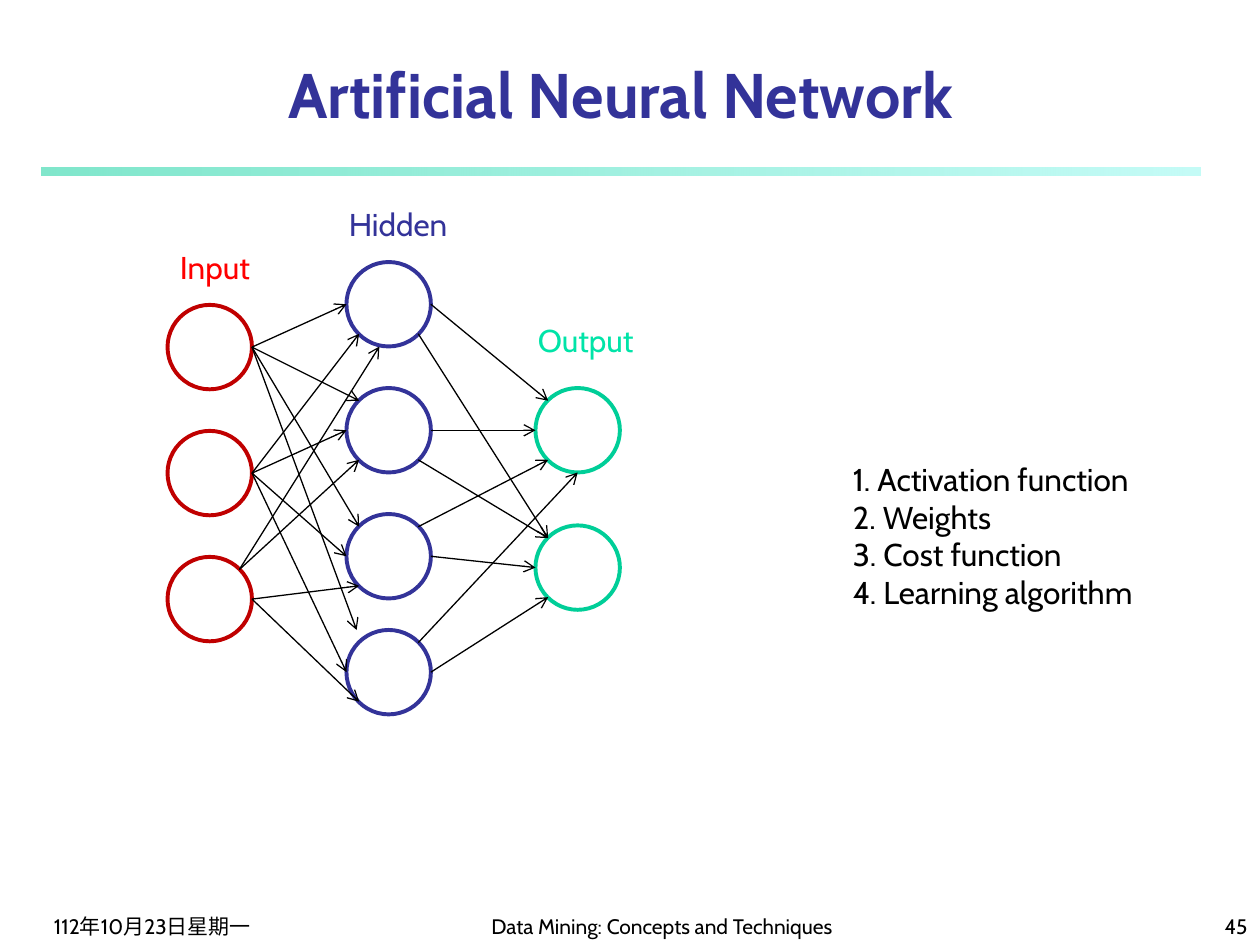
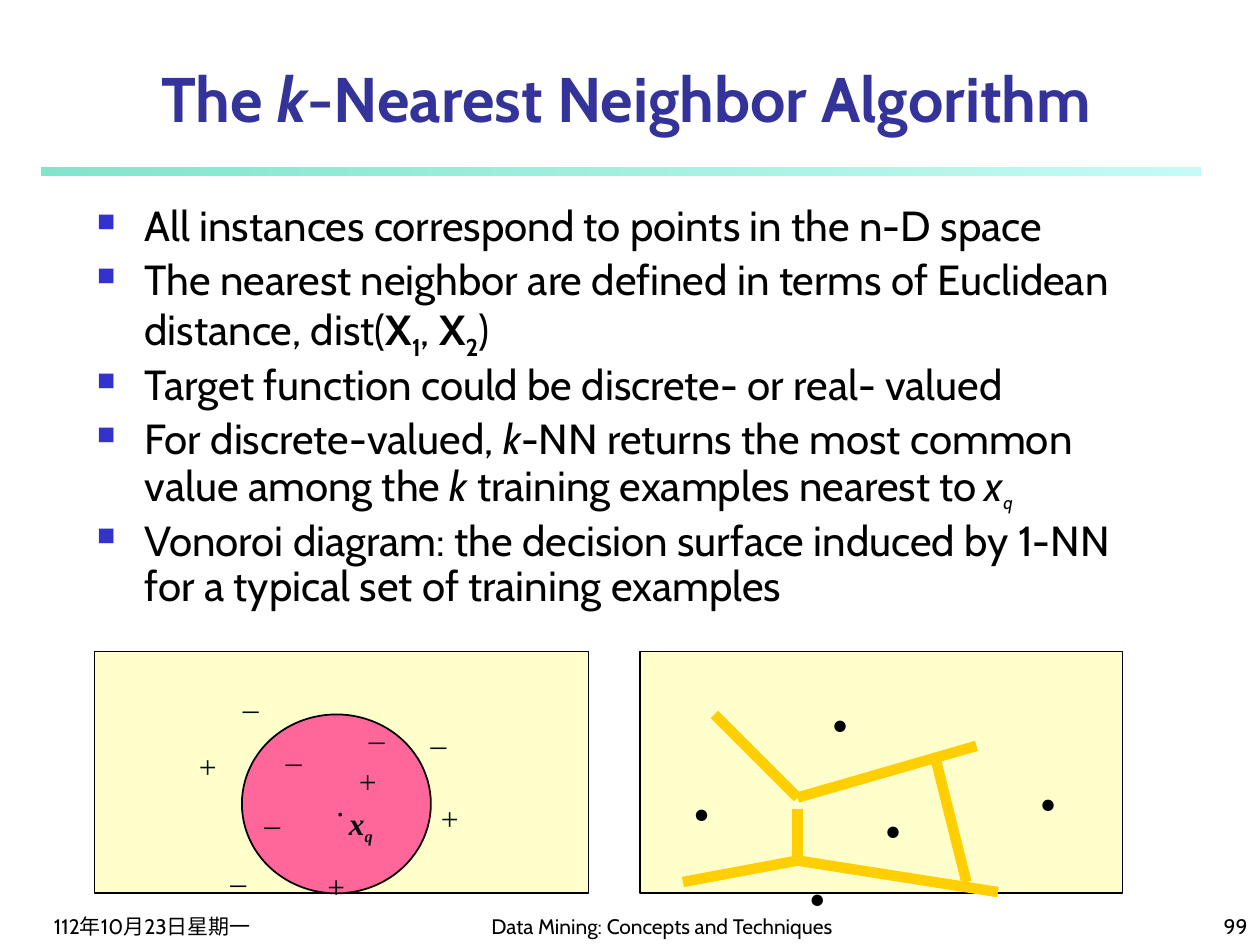
from lxml import etree
from pptx import Presentation
from pptx.dml.color import RGBColor
from pptx.enum.shapes import MSO_CONNECTOR, MSO_SHAPE
from pptx.enum.text import MSO_ANCHOR, PP_ALIGN
from pptx.oxml.ns import qn
from pptx.util import Inches, Pt

LEFT, CENTER, RIGHT = PP_ALIGN.LEFT, PP_ALIGN.CENTER, PP_ALIGN.RIGHT
TOP, MIDDLE, BOTTOM = MSO_ANCHOR.TOP, MSO_ANCHOR.MIDDLE, MSO_ANCHOR.BOTTOM
RECT, OVAL = MSO_SHAPE.RECTANGLE, MSO_SHAPE.OVAL
STRAIGHT = MSO_CONNECTOR.STRAIGHT

BLACK = RGBColor(0x00, 0x00, 0x00)
INK = RGBColor(0x00, 0x10, 0x10)
NAVY = RGBColor(0x33, 0x33, 0x99)
BULLET_BLUE = RGBColor(0x33, 0x33, 0xCC)
DARK_RED = RGBColor(0xC0, 0x00, 0x00)
RED = RGBColor(0xFF, 0x00, 0x00)
GREEN = RGBColor(0x00, 0xCE, 0x98)
LIGHT_GREEN = RGBColor(0x00, 0xE4, 0xA8)
AQUA = RGBColor(0x8F, 0xF9, 0xEF)
CREAM = RGBColor(0xFF, 0xFF, 0xCC)
PINK = RGBColor(0xFF, 0x66, 0x99)
GOLD = RGBColor(0xFF, 0xCF, 0x01)

TITLE = {"name": "Cabin", "size": Pt(36), "bold": True}
BODY = {"name": "Cabin", "size": Pt(24)}
LABEL = {"name": "Cabin", "size": Pt(18)}
FOOTER = {"name": "Cabin", "size": Pt(12)}
MARK = {"name": "Times New Roman", "size": Pt(18)}
POINT = {"name": "Times New Roman", "size": Pt(40), "bold": True}
BOLD, ITALIC = {"bold": True}, {"italic": True}
BOLD_SUB = {"bold": True, "sub": True}

NODE = 0.67
LAYERS = {
    "input": (0, [0.84, 1.84, 2.84], DARK_RED),
    "hidden": (1.42, [0.5, 1.5, 2.5, 3.42], NAVY),
    "output": (2.92, [1.5, 2.59], GREEN),
}
LAYER_LABELS = [
    ("Input", 0, 0.34, 0.8, RED),
    ("Hidden", 1.34, 0, 0.98, NAVY),
    ("Output", 2.84, 0.92, 0.97, LIGHT_GREEN),
]
PORTS = {
    "W": (0, 0.5), "E": (1, 0.5), "S": (0.5, 1),
    "NW": (0.15, 0.15), "NE": (0.85, 0.15),
    "SW": (0.15, 0.85), "SE": (0.85, 0.85),
    "NNW": (0.12, 0), "SSW": (0.39, 1),
}
EDGES = {
    ("input", "hidden"): [
        (0, "E", 0, "W"), (0, "E", 1, "NW"), (0, "E", 2, "NW"), (0, "E", 3, "NNW"),
        (1, "E", 0, "SW"), (1, "E", 1, "W"), (1, "E", 2, "W"), (1, "E", 3, "W"),
        (2, "NE", 0, "SSW"), (2, "NE", 1, "SW"), (2, "E", 2, "SW"), (2, "E", 3, "SW"),
    ],
    ("hidden", "output"): [
        (0, "E", 0, "NW"), (0, "SE", 1, "NW"), (1, "E", 0, "W"), (1, "SE", 1, "NW"),
        (2, "E", 1, "W"), (2, "NE", 0, "SW"), (3, "NE", 0, "S"), (3, "E", 1, "SW"),
    ],
}
TOPICS = ["1. Activation function", "2. Weights", "3. Cost function", "4. Learning algorithm"]

KNN_POINTS = [
    [("All instances correspond to points in the n-D space", {})],
    [("The nearest neighbor are defined in terms of Euclidean distance, dist(", {}),
     ("X", BOLD), ("1", BOLD_SUB), (", ", {}), ("X", BOLD), ("2", BOLD_SUB), (")", {})],
    [("Target function could be discrete- or real- valued", {})],
    [("For discrete-valued, ", {}), ("k", ITALIC),
     ("-NN returns the most common value among the ", {}), ("k", ITALIC),
     (" training examples nearest to", {}), (" ", {"size": Pt(20)}), ("x", ITALIC),
     ("q", {"italic": True, "size": Pt(18), "sub": True})],
    [("Vonoroi diagram: the decision surface induced by 1-NN "
      "for a typical set of training examples", {})],
]
SAMPLES = [
    ("_", BLACK, [(1.42, 0.58), (1.25, 1.08), (0.98, 1.54)]),
    ("_", INK, [(2.08, 0.41), (2.57, 0.45), (1.08, 0.16)]),
    ("+", INK, [(2, 0.83), (1.75, 1.66), (0.73, 0.71), (2.65, 1.12)]),
]
CELL_POINTS = [(1.42, 0.03), (1.84, 0.87), (1.24, 1.41), (0.32, 0.74), (3.07, 0.66)]
CELL_EDGES = [
    (0.59, 0.5, 1.25, 1.16), (1.25, 1.16, 2.67, 0.75), (1.25, 1.25, 1.25, 1.66),
    (1.25, 1.66, 2.84, 1.91), (1.25, 1.66, 0.34, 1.83), (2.34, 0.83, 2.59, 1.83),
]


def add_runs(p, runs, fmt, color):
    for text, extra in runs:
        r = p.add_run()
        r.text = text
        for key, value in {**fmt, **extra}.items():
            if key == "sub":
                r._r.get_or_add_rPr().set("baseline", "-25000")
            else:
                setattr(r.font, key, value)
        r.font.color.rgb = color


def add_text(slide, box, paragraphs, fmt, color=BLACK, align=LEFT, anchor=TOP, wrap=True):
    tf = slide.shapes.add_textbox(*map(Inches, box)).text_frame
    tf.word_wrap, tf.vertical_anchor = wrap, anchor
    for i, runs in enumerate(paragraphs):
        p = tf.add_paragraph() if i else tf.paragraphs[0]
        p.alignment = align
        add_runs(p, [(runs, {})] if isinstance(runs, str) else runs, fmt, color)
    return tf


def add_shape(slide, kind, box, fill=None, line=None, width=1):
    sp = slide.shapes.add_shape(kind, *map(Inches, box))
    sp.shadow.inherit = False
    if fill is None:
        sp.fill.background()
    else:
        sp.fill.solid()
        sp.fill.fore_color.rgb = fill
    if line is None:
        sp.line.fill.background()
    else:
        sp.line.color.rgb = line
        sp.line.width = Pt(width)
    return sp


def add_line(slide, start, end, color, width, arrow=False):
    cx = slide.shapes.add_connector(STRAIGHT, *map(Inches, (*start, *end)))
    cx.line.color.rgb = color
    cx.line.width = Pt(width)
    if arrow:
        etree.SubElement(cx.line._get_or_add_ln(), qn("a:tailEnd"), type="arrow")
    etree.SubElement(cx.element.spPr, qn("a:effectLst"))


def add_bullet(p):
    pPr = p._p.get_or_add_pPr()
    for key, value in {"marL": 0.38, "indent": -0.38}.items():
        pPr.set(key, str(Inches(value)))
    clr = etree.SubElement(pPr, qn("a:buClr"))
    etree.SubElement(clr, qn("a:srgbClr"), val=str(BULLET_BLUE))
    etree.SubElement(pPr, qn("a:buSzPct"), val="60000")
    etree.SubElement(pPr, qn("a:buChar"), char="■")


def add_frame(prs, title, title_box, anchor, number):
    slide = prs.slides.add_slide(prs.slide_layouts[6])
    band = add_shape(slide, RECT, (0.33, 1.33, 9.2, 0.06))
    band.fill.gradient()
    band.fill.gradient_angle = 0
    for stop, color in zip(band.fill.gradient_stops, (GREEN, AQUA)):
        stop.color.rgb = color
    for clr, alpha in zip(band.element.spPr.iter(qn("a:srgbClr")), ("50000", "52000")):
        etree.SubElement(clr, qn("a:alpha"), val=alpha)
    add_text(slide, title_box, [title], TITLE, NAVY, CENTER, anchor)
    for left, width, text, align in [
        (0.33, 2.08, "112年10月23日星期一", LEFT),
        (3.67, 3.17, "Data Mining: Concepts and Techniques", CENTER),
        (7.92, 2.08, number, RIGHT),
    ]:
        add_text(slide, (left, 7.08, width, 0.42), [text], FOOTER, align=align, anchor=BOTTOM)
    return slide


def add_network(slide, left, top):
    def port(layer, index, name):
        x, ys, _ = LAYERS[layer]
        dx, dy = PORTS[name]
        return left + x + dx * NODE, top + ys[index] + dy * NODE

    for x, ys, color in LAYERS.values():
        for y in ys:
            add_shape(slide, OVAL, (left + x, top + y, NODE, NODE), line=color, width=2.25)
    for text, x, y, width, color in LAYER_LABELS:
        add_text(slide, (left + x, top + y, width, 0.4), [text], LABEL, color, wrap=False)
    for (source, target), edges in EDGES.items():
        for i, out_port, j, in_port in edges:
            add_line(slide, port(source, i, out_port), port(target, j, in_port),
                     BLACK, 0.75, arrow=True)


def add_bullets(slide, box):
    tf = add_text(slide, box, KNN_POINTS, BODY)
    for i, p in enumerate(tf.paragraphs):
        add_bullet(p)
        p.line_spacing = 0.9
        p.space_before = Pt(4.8 if i else 0)


def add_neighbor_panel(slide, left, top, width, height):
    add_shape(slide, RECT, (left, top, width, height), CREAM, BLACK)
    circle = add_shape(slide, OVAL, (left + 1.17, top + 0.5, 1.5, 1.42), PINK, BLACK)
    tf = circle.text_frame
    tf.word_wrap, tf.vertical_anchor = False, MIDDLE
    tf.margin_left = Inches(0.16)
    tf.paragraphs[0].alignment = CENTER
    add_runs(tf.paragraphs[0], [(".", {})], MARK, BLACK)
    for symbol, color, places in SAMPLES:
        for x, y in places:
            add_text(slide, (left + x, top + y, 0.33, 0.4), [symbol], MARK, color, wrap=False)
    query = [("x", {}), ("q", {"size": Pt(16), "sub": True})]
    add_text(slide, (left + 1.92, top + 1.16, 0.4, 0.4), [query],
             {**MARK, "bold": True, "italic": True}, INK, wrap=False)


def add_voronoi_panel(slide, left, top, width, height):
    add_shape(slide, RECT, (left, top, width, height), CREAM, BLACK)
    for x1, y1, x2, y2 in CELL_EDGES:
        add_line(slide, (left + x1, top + y1), (left + x2, top + y2), GOLD, 6)
    for x, y in CELL_POINTS:
        add_text(slide, (left + x, top + y, 0.34, 0.77), ["."], POINT, wrap=False)


def network_slide(prs):
    slide = add_frame(prs, "Artificial Neural Network", (0.33, 0.42, 9.19, 0.67), BOTTOM, "45")
    add_network(slide, 1.33, 1.58)
    add_text(slide, (6.67, 3.6, 2.67, 1.3), TOPICS, LABEL, wrap=False)


def neighbor_slide(prs):
    title = [("The ", {}), ("k", ITALIC), ("-Nearest Neighbor Algorithm", {})]
    slide = add_frame(prs, title, (0.5, 0.55, 8.94, 0.44), MIDDLE, "99")
    add_bullets(slide, (0.67, 1.58, 8.67, 3.5))
    add_neighbor_panel(slide, 0.75, 5.17, 3.92, 1.92)
    add_voronoi_panel(slide, 5.08, 5.17, 3.83, 1.92)


def main():
    prs = Presentation()
    prs.slide_width, prs.slide_height = Inches(10), Inches(7.5)
    network_slide(prs)
    neighbor_slide(prs)
    prs.save("out.pptx")


if __name__ == "__main__":
    main()
